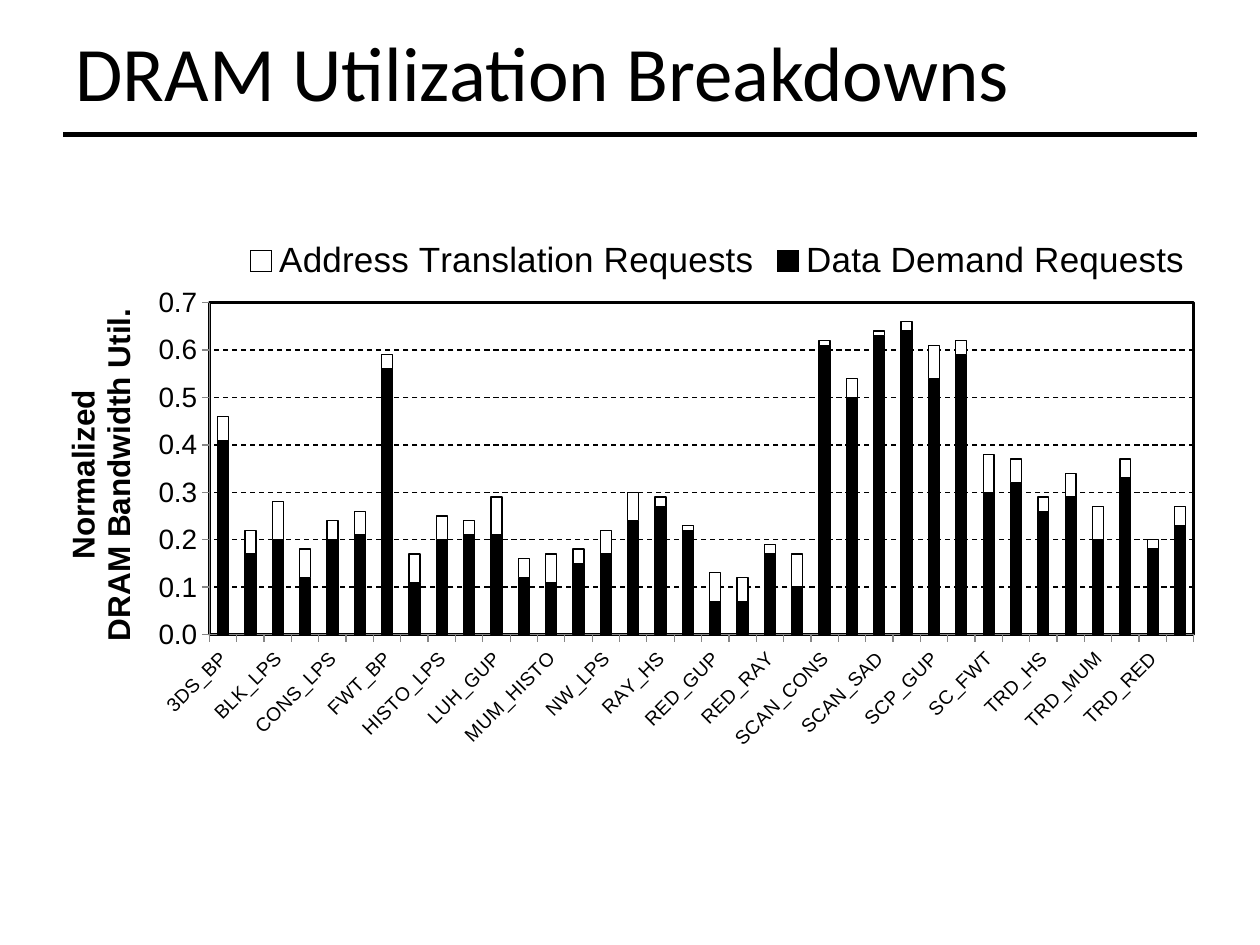
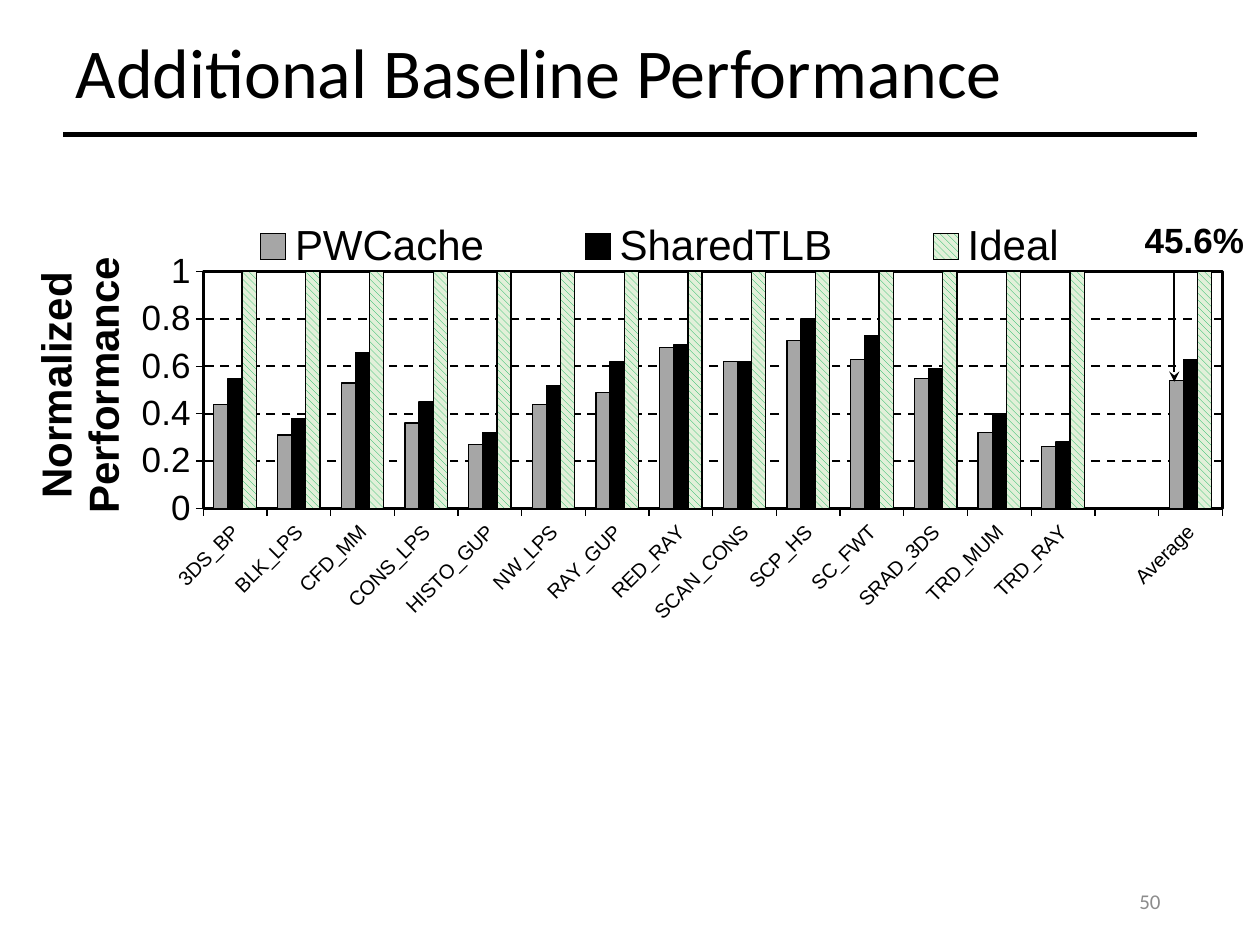
from lxml import etree
from pptx import Presentation
from pptx.chart import data
from pptx.dml import color
from pptx.enum import chart as ec, dml, shapes, text
from pptx.oxml import ns
from pptx.util import Inches, Pt

BLACK, WHITE, GREY = "000000", "FFFFFF", "A6A6A6"

UTIL = dict(
    title="DRAM Utilization Breakdowns", size=44, wide=9,
    kind=ec.XL_CHART_TYPE.COLUMN_STACKED, at=(0.38, 1.46, 9.29, 5.42),
    cats="3DS_BP 3DS_HISTO BLK_LPS CFD_MM CONS_LPS CONS_LUH FWT_BP HISTO_GUP "
         "HISTO_LPS LUH_BFS2 LUH_GUP MM_CONS MUM_HISTO NW_HS NW_LPS RAY_GUP "
         "RAY_HS RED_BP RED_GUP RED_MM RED_RAY RED_SC SCAN_CONS SCAN_HISTO "
         "SCAN_SAD SCAN_SRAD SCP_GUP SCP_HS SC_FWT SRAD_3DS TRD_HS TRD_LPS "
         "TRD_MUM TRD_RAY TRD_RED Average".split(),
    rows=[
        ("Data Demand Requests", BLACK,
         [0.41, 0.17, 0.2, 0.12, 0.2, 0.21, 0.56, 0.11, 0.2, 0.21, 0.21, 0.12,
          0.11, 0.15, 0.17, 0.24, 0.27, 0.22, 0.07, 0.07, 0.17, 0.1, 0.61, 0.5,
          0.63, 0.64, 0.54, 0.59, 0.3, 0.32, 0.26, 0.29, 0.2, 0.33, 0.18, 0.23]),
        ("Address Translation Requests", WHITE,
         [0.05, 0.05, 0.08, 0.06, 0.04, 0.05, 0.03, 0.06, 0.05, 0.03, 0.08, 0.04,
          0.06, 0.03, 0.05, 0.06, 0.02, 0.01, 0.06, 0.05, 0.02, 0.07, 0.01, 0.04,
          0.01, 0.02, 0.07, 0.03, 0.08, 0.05, 0.03, 0.05, 0.07, 0.04, 0.02, 0.04]),
    ],
    axis="Normalized\nDRAM Bandwidth Util.", scale=(0, 0.7, 0.1), form="#,##0.0",
    fonts=dict(cat=11, val=16, name=18, key=20), lap=100, line="868686", grid=0.75,
    plot=(0.138, 0.174, 0.841, 0.486), key=(0.163, 0.08, 0.818, 0.065),
    name=(0.01, 0.177))

PERF = dict(
    title="Additional Baseline Performance", size=40, wide=9.5,
    kind=ec.XL_CHART_TYPE.COLUMN_CLUSTERED, at=(-0.05, 0.37, 9.9, 5.71),
    cats="3DS_BP BLK_LPS CFD_MM CONS_LPS HISTO_GUP NW_LPS RAY_GUP RED_RAY "
         "SCAN_CONS SCP_HS SC_FWT SRAD_3DS TRD_MUM TRD_RAY".split() + ["", "Average"],
    rows=[
        ("PWCache", GREY,
         [0.44, 0.31, 0.53, 0.36, 0.27, 0.44, 0.49, 0.68, 0.62, 0.71, 0.63, 0.55,
          0.32, 0.26, None, 0.54]),
        ("SharedTLB", BLACK,
         [0.55, 0.38, 0.66, 0.45, 0.32, 0.52, 0.62, 0.69, 0.62, 0.8, 0.73, 0.59,
          0.4, 0.28, None, 0.63]),
        ("Ideal", ("00B050", "E2F0D9"), [1] * 14 + [None, 1]),
    ],
    axis="Normalized\nPerformance", scale=(0, 1, 0.2), form="General",
    fonts=dict(cat=11.5, val=20, name=24, key=24), lap=0, line=BLACK, grid=1.25,
    plot=(0.168, 0.313, 0.817, 0.329), key=(0.144, 0.245, 0.78, 0.065),
    name=(0.027, 0.287))


def rgb(code):
    return color.RGBColor.from_string(code)


def style(font, size, face="Arial", tint=BLACK, bold=False):
    for key, val in dict(size=Pt(size), name=face, bold=bold).items():
        setattr(font, key, val)
    font.color.rgb = rgb(tint)


def stroke(line, tint, width):
    line.color.rgb = rgb(tint)
    line.width = Pt(width)


def node(host, tag, **vals):
    return etree.SubElement(host, ns.qn(tag), **vals)


def place(host, spot, index, inner=False):
    for old in host.findall(ns.qn("c:layout")):
        host.remove(old)
    lay = etree.Element(ns.qn("c:layout"))
    man = node(lay, "c:manualLayout")
    if inner:
        node(man, "c:layoutTarget", val="inner")
    for mode in ("xMode", "yMode"):
        node(man, "c:" + mode, val="edge")
    for tag, val in zip("xywh", spot):
        node(man, "c:" + tag, val=str(val))
    host.insert(index, lay)


def rule(slide, x1, y1, x2, y2, width, tip=None):
    line = slide.shapes.add_connector(
        shapes.MSO_CONNECTOR.STRAIGHT, *map(Inches, (x1, y1, x2, y2)))
    stroke(line.line, BLACK, width)
    if tip:
        node(line.line._get_or_add_ln(), "a:tailEnd", type=tip)
    node(line._element.spPr, "a:effectLst")


def paint(ser, tint):
    fill = ser.format.fill
    if isinstance(tint, tuple):
        fill.patterned()
        fill.pattern = dml.MSO_PATTERN.WIDE_DOWNWARD_DIAGONAL
        fill.fore_color.rgb, fill.back_color.rgb = map(rgb, tint)
    else:
        fill.solid()
        fill.fore_color.rgb = rgb(tint)
    stroke(ser.format.line, BLACK, 0.75)
    ser.invert_if_negative = False


def graph(slide, page):
    feed = data.CategoryChartData()
    feed.categories = page["cats"]
    for name, tint, vals in page["rows"]:
        feed.add_series(name, vals)
    chart = slide.shapes.add_chart(page["kind"], *map(Inches, page["at"]), feed).chart
    sizes = page["fonts"]
    style(chart.font, 10, "Calibri")
    chart.has_title = False
    chart.has_legend = True
    key = chart.legend
    key.position = ec.XL_LEGEND_POSITION.RIGHT
    key.include_in_layout = False
    style(key.font, sizes["key"])
    place(key._element, page["key"], 1)

    bars = chart.plots[0]
    bars.gap_width, bars.overlap, bars.vary_by_categories = 150, page["lap"], False
    for ser, row in zip(bars.series, page["rows"]):
        paint(ser, row[1])

    cat, val = chart.category_axis, chart.value_axis
    for axis, size in ((cat, sizes["cat"]), (val, sizes["val"])):
        style(axis.tick_labels.font, size)
        stroke(axis.format.line, page["line"], 0.75)
        axis.major_tick_mark = ec.XL_TICK_MARK.OUTSIDE
    cat._element.find(".//" + ns.qn("a:bodyPr")).set("rot", "-2700000")
    val.minimum_scale, val.maximum_scale, val.major_unit = page["scale"]
    val.tick_labels.number_format = page["form"]
    val.tick_labels.number_format_is_linked = False
    grid = val.major_gridlines.format.line
    stroke(grid, BLACK, page["grid"])
    grid.dash_style = dml.MSO_LINE.DASH

    name = val.axis_title
    frame = name.text_frame
    frame.text = page["axis"]
    for para in frame.paragraphs:
        style(para.font, sizes["name"], bold=True)
        for run in para.runs:
            style(run.font, sizes["name"], bold=True)
    body = frame._txBody.find(ns.qn("a:bodyPr"))
    body.set("rot", "-5400000")
    body.set("vert", "horz")
    place(name._element, page["name"], 1)

    area = chart._chartSpace.find(".//" + ns.qn("c:plotArea"))
    place(area, page["plot"], 0, True)
    box = node(area, "c:spPr")
    node(box, "a:noFill")
    edge = node(node(box, "a:ln", w=str(Pt(1.5))), "a:solidFill")
    node(edge, "a:srgbClr", val=BLACK)


def build(deck, page):
    slide = deck.slides.add_slide(deck.slide_layouts[5])
    graph(slide, page)
    head = slide.shapes.title
    head.left, head.top, head.width, head.height = map(
        Inches, (0.5, 0.14, page["wide"], 0.93))
    write(head, page["title"], text.PP_ALIGN.LEFT, size=page["size"], face="Calibri")
    head.text_frame.paragraphs[0].line_spacing = 0.9
    rule(slide, 0.5, 1.07, 9.5, 1.07, 3)
    return slide


def write(shape, words, align, wrap=True, **font):
    frame = shape.text_frame
    frame.text = words
    for key, val in dict(word_wrap=wrap, auto_size=text.MSO_AUTO_SIZE.NONE,
                         vertical_anchor=text.MSO_ANCHOR.MIDDLE).items():
        setattr(frame, key, val)
    para = frame.paragraphs[0]
    para.alignment = align
    style(para.runs[0].font, **font)


def note(slide):
    num = slide.shapes.add_textbox(*map(Inches, (7.06, 6.95, 2.25, 0.4)))
    write(num, "50", text.PP_ALIGN.RIGHT, size=12, face="Calibri", tint="8C8C8C")
    rule(slide, 9.32, 2.16, 9.32, 3.03, 1.25, "stealth")
    tag = slide.shapes.add_shape(
        shapes.MSO_SHAPE.RECTANGLE, *map(Inches, (9.26, 1.84, 0.44, 0.12)))
    tag.shadow.inherit = False
    tag.fill.solid()
    tag.fill.fore_color.rgb = rgb(WHITE)
    tag.line.fill.background()
    for side in ("left", "top", "right", "bottom"):
        setattr(tag.text_frame, "margin_" + side, 0)
    write(tag, "45.6%", text.PP_ALIGN.CENTER, wrap=False, size=20, bold=True)


def main():
    deck = Presentation()
    deck.slide_width, deck.slide_height = Inches(10), Inches(7.5)
    build(deck, UTIL)
    note(build(deck, PERF))
    deck.save("out.pptx")


if __name__ == "__main__":
    main()
